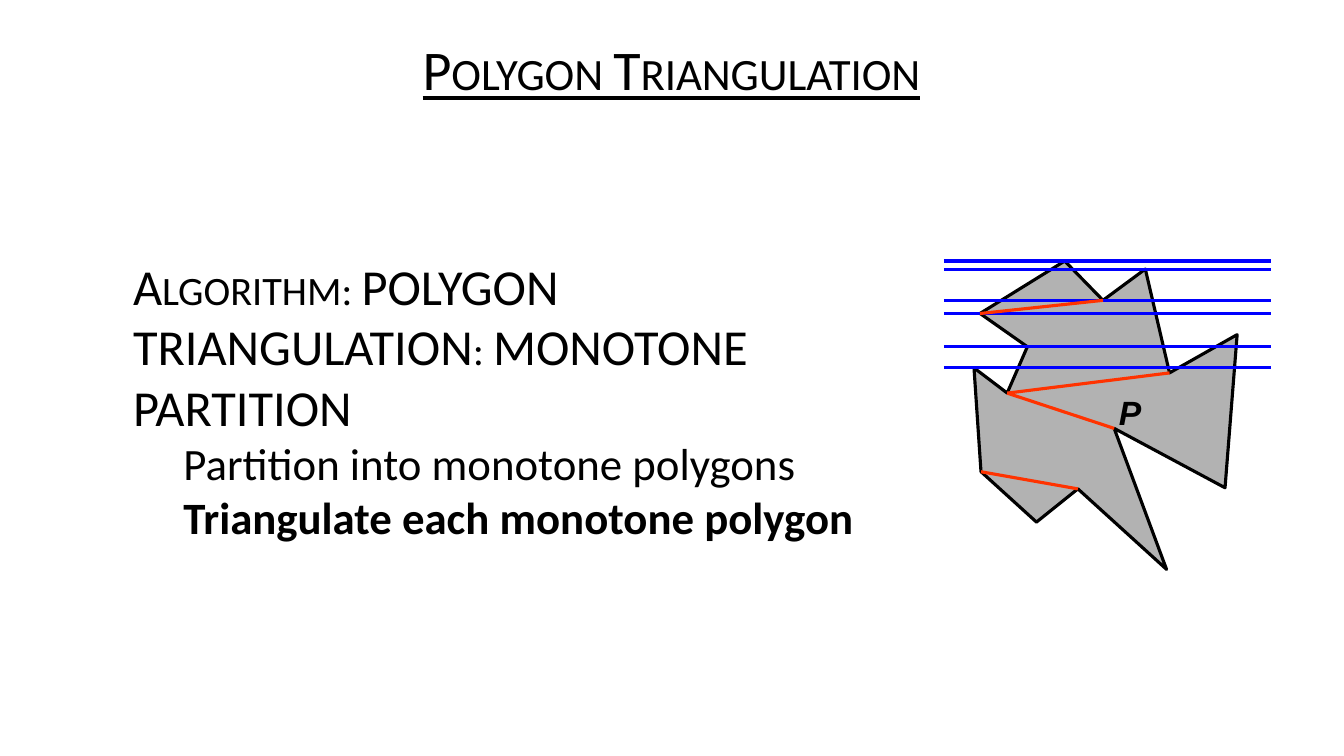
from lxml.etree import SubElement
from pptx import Presentation
from pptx.dml.color import RGBColor
from pptx.enum.shapes import MSO_CONNECTOR
from pptx.enum.text import MSO_ANCHOR, MSO_AUTO_SIZE, PP_ALIGN
from pptx.oxml.ns import qn
from pptx.util import Inches, Pt

BLACK = RGBColor(0x00, 0x00, 0x00)
GRAY = RGBColor(0xB2, 0xB2, 0xB2)
BLUE = RGBColor(0x00, 0x00, 0xFF)
RED = RGBColor(0xFF, 0x33, 0x00)

# Points and boxes are percentages of the slide's width and height.
VERTICES = [
    (86.8, 75.33), (80.2, 64.67), (77.12, 69.07), (72.99, 62.4), (72.47, 48.67),
    (74.94, 52), (76.44, 45.87), (72.92, 41.47), (79.22, 34.53), (82.07, 39.73),
    (85.22, 35.6), (87.02, 49.33), (92.05, 44.27), (91.15, 64.53), (82.9, 56.67),
]
SWEPT_VERTICES = [8, 10, 9, 7, 6, 4]
DIAGONALS = [(9, 7), (11, 5), (14, 5), (1, 3)]
SWEEP_LEFT, SWEEP_RIGHT = 70.22, 94.55


class SlideBuilder:
    text_font = "Calibri"
    label_font = "Arial"
    line_width = Pt(2.25)

    def __init__(self, presentation):
        self.width = presentation.slide_width
        self.height = presentation.slide_height
        self.slide = presentation.slides.add_slide(presentation.slide_layouts[1])
        self.figure = self.slide.shapes.add_group_shape()

    def point(self, x, y):
        return round(self.width * x / 100), round(self.height * y / 100)

    def box(self, left, top, width, height):
        return *self.point(left, top), *self.point(width, height)

    def run(self, paragraph, text, size, font=None, small_caps=False, **style):
        run = paragraph.add_run()
        run.text = text
        run.font.name = font or self.text_font
        run.font.size = Pt(size)
        run.font.color.rgb = BLACK
        for name, value in style.items():
            setattr(run.font, name, value)
        if small_caps:
            run.font._element.set("cap", "small")

    def placeholder(self, shape, box):
        """Move a template placeholder and return its centred text frame."""
        shape.left, shape.top, shape.width, shape.height = self.box(*box)
        frame = shape.text_frame
        frame.word_wrap = True
        frame.auto_size = MSO_AUTO_SIZE.NONE
        frame.vertical_anchor = MSO_ANCHOR.MIDDLE
        return frame

    def title(self, text, box):
        frame = self.placeholder(self.slide.shapes.title, box)
        paragraph = frame.paragraphs[0]
        paragraph.alignment = PP_ALIGN.CENTER
        paragraph.line_spacing = 0.9
        paragraph.space_before = Pt(10)
        self.run(paragraph, text, 40, small_caps=True, underline=True)

    def outline(self, items, box):
        """Fill the body with (level, text, run style) items, without bullets."""
        frame = self.placeholder(self.slide.placeholders[1], box)
        for index, (level, text, style) in enumerate(items):
            paragraph = frame.add_paragraph() if index else frame.paragraphs[0]
            paragraph.level = level
            paragraph.space_before = Pt(0)
            properties = paragraph._p.get_or_add_pPr()
            properties.set("marL", str(Inches(0.5 * (level + 1))))
            properties.set("indent", "0")
            SubElement(properties, qn("a:buNone"))
            self.run(paragraph, text, 36 - 4 * level, **style)

    def polygon(self, vertices):
        points = [self.point(*vertex) for vertex in vertices]
        builder = self.figure.shapes.build_freeform(*points[0])
        builder.add_line_segments(points[1:], close=True)
        shape = builder.convert_to_shape()
        shape.shadow.inherit = False
        shape.fill.solid()
        shape.fill.fore_color.rgb = GRAY
        shape.line.color.rgb = BLACK
        shape.line.width = self.line_width

    def label(self, text, box):
        frame = self.figure.shapes.add_textbox(*self.box(*box)).text_frame
        frame.word_wrap = True
        self.run(frame.paragraphs[0], text, 24, self.label_font, bold=True, italic=True)

    def line(self, start, end, color):
        connector = self.figure.shapes.add_connector(
            MSO_CONNECTOR.STRAIGHT, *self.point(*start), *self.point(*end))
        connector.line.color.rgb = color
        connector.line.width = self.line_width
        SubElement(connector._element.spPr, qn("a:effectLst"))


def main():
    presentation = Presentation()
    presentation.slide_width = Inches(13.33)
    presentation.slide_height = Inches(7.5)
    builder = SlideBuilder(presentation)

    builder.title("Polygon Triangulation", (13.05, 3.87, 73.82, 11.33))
    builder.outline([
        (0, "Algorithm: POLYGON TRIANGULATION: MONOTONE PARTITION", {"small_caps": True}),
        (1, "Partition into monotone polygons", {}),
        (1, "Triangulate each monotone polygon", {"bold": True}),
    ], (5.4, 17.6, 61.44, 70.4))

    builder.polygon(VERTICES)
    builder.label("P", (82.52, 51.2, 3.9, 6.8))
    for index in SWEPT_VERTICES:
        y = VERTICES[index][1]
        builder.line((SWEEP_LEFT, y), (SWEEP_RIGHT, y), BLUE)
    for start, end in DIAGONALS:
        builder.line(VERTICES[start], VERTICES[end], RED)

    presentation.save("out.pptx")


if __name__ == "__main__":
    main()
